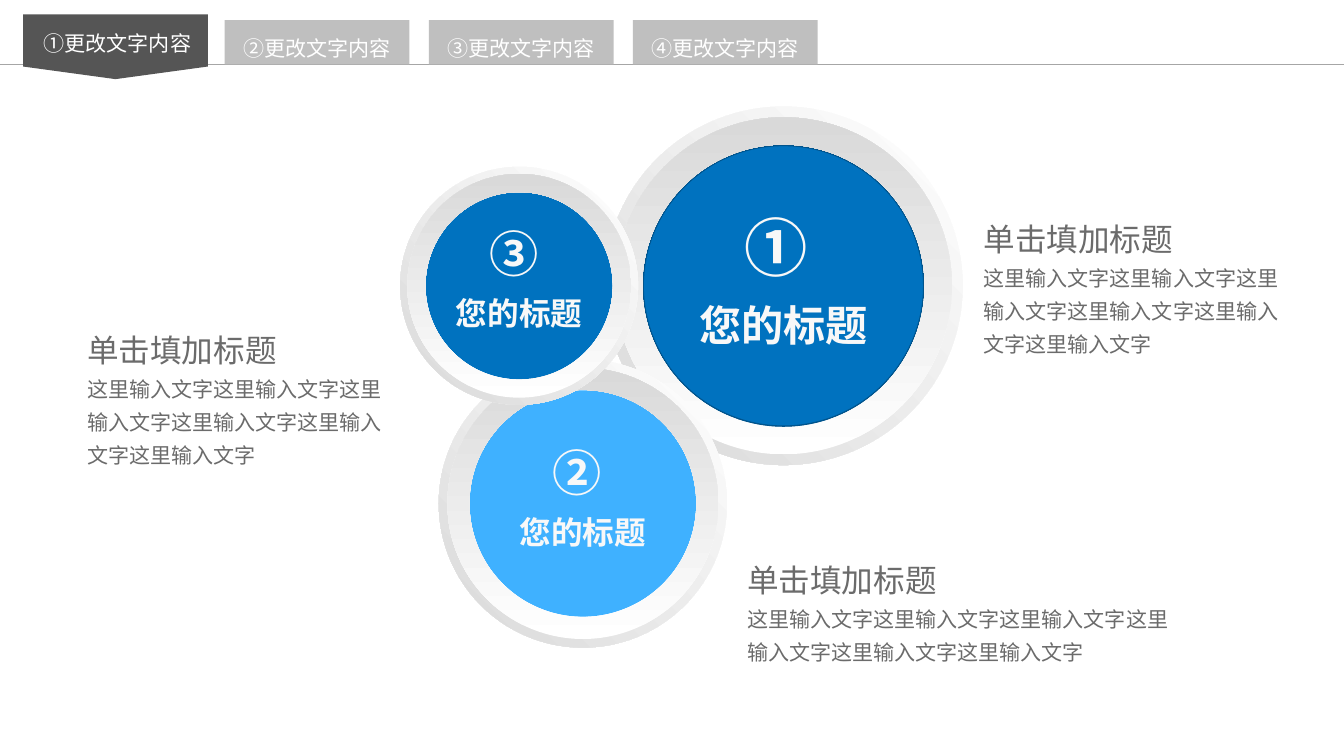
from lxml import etree
from pptx import Presentation
from pptx import util as u
from pptx.dml.color import RGBColor
from pptx.enum import shapes, text
from pptx.oxml.ns import qn

FONT = "Noto Sans CJK SC"
SLIDE_SIZE = (27, 15)

# label, centre x, centre y, length, point depth, text centre x, text top, fill (cm)
ACTIVE_TAB = ("①更改文字内容", 2.32, 0.94, 1.3, 0.194, 2.36, 0.51, "555555")
OTHER_TABS = ["②更改文字内容", "③更改文字内容", "④更改文字内容"]
FIRST_TAB_X, TAB_PITCH, TAB_WIDTH = 6.37, 4.1, 3.71
RULE_Y = 1.3

# number, title, centre, diameter, fill, outline, text box (top, width, height), font sizes
CIRCLES = [
    ("① ", "您的标题", (15.74, 5.74), 7.2, "0072BF", "00548D", (3.61, 7.54, 3.58), (36, 24)),
    ("② ", "您的标题", (11.71, 10.11), 5.79, "3FB1FF", None, (8.41, 6.07, 2.82), (28, 18)),
    ("③ ", "您的标题", (10.43, 5.74), 4.78, "0072BF", None, (4.01, 5.0, 2.82), (28, 18)),
]
DISC_RATIO = 0.785
# diameter ratio, ring thickness, gradient angle
RINGS = [(1, 0.101, 225), (0.94, 0.081, 90)]

NOTE_TITLE = "单击填加标题"
NOTE_BODY = "这里输入文字" * 6
# left, top, width, height
NOTES = [(14.76, 10.92, 9.35, 3.66), (19.51, 4.06, 6.81, 4.32), (1.5, 6.3, 6.81, 4.32)]


def colour(value):
    return RGBColor.from_string(value)


def centred(x, y, width, height):
    return u.Cm(x - width / 2), u.Cm(y - height / 2), u.Cm(width), u.Cm(height)


def add_plain_shape(kind, box, fill=None, outline=None):
    shape = slide.shapes.add_shape(kind, *box)
    shape.shadow.inherit = False
    if fill:
        shape.fill.solid()
        shape.fill.fore_color.rgb = colour(fill)
    if outline:
        shape.line.color.rgb = colour(outline)
        shape.line.width = u.Pt(1.25)
    else:
        shape.line.fill.background()
    return shape


def add_text(box, lines, hex_colour, spacing, centre=False, bold=False, grow=True):
    """Add a text box; lines holds (wording, size) pairs."""
    frame = slide.shapes.add_textbox(*map(u.Cm, box)).text_frame
    frame.word_wrap = True
    if grow:
        frame.auto_size = text.MSO_AUTO_SIZE.SHAPE_TO_FIT_TEXT
    else:
        frame.margin_left = frame.margin_right = frame.margin_top = frame.margin_bottom = 0
    for index, (wording, size) in enumerate(lines):
        paragraph = frame.add_paragraph() if index else frame.paragraphs[0]
        paragraph.text = wording
        paragraph.line_spacing = spacing
        if centre:
            paragraph.alignment = text.PP_ALIGN.CENTER
        font = paragraph.font
        font.name, font.size, font.bold = FONT, u.Pt(size), bold
        font.color.rgb = colour(hex_colour)
        east_asian = etree.SubElement(paragraph._p.pPr.defRPr, qn("a:ea"))
        east_asian.set("typeface", FONT)


def add_circle(number, title, centre, diameter, fill, outline, text_box, sizes):
    disc = diameter * DISC_RATIO
    add_plain_shape(shapes.MSO_SHAPE.OVAL, centred(*centre, disc, disc), fill, outline)
    for ratio, thickness, angle in RINGS:
        size = diameter * ratio
        ring = add_plain_shape(shapes.MSO_SHAPE.DONUT, centred(*centre, size, size))
        ring.adjustments[0] = thickness
        ring.fill.gradient()
        ring.fill.gradient_angle = angle
        for stop, shade in zip(ring.fill.gradient_stops, ("FFFFFF", "D9D9D9")):
            stop.color.rgb = colour(shade)
    top, width, height = text_box
    add_text((centre[0] - width / 2, top, width, height),
             zip((number, title), sizes), "F8F8F8", 1.3, centre=True, bold=True)


def add_tab(label, x, y, length, point, text_x, text_top, fill):
    tab = add_plain_shape(shapes.MSO_SHAPE.PENTAGON, centred(x, y, length, TAB_WIDTH), fill)
    tab.rotation = 90
    tab.adjustments[0] = point
    add_text((text_x - 2.87, text_top, 5.74, 0.69), [(label, 12)], "FFFFFF", 1.2,
             centre=True, grow=False)


presentation = Presentation()
presentation.slide_width, presentation.slide_height = map(u.Cm, SLIDE_SIZE)
slide = presentation.slides.add_slide(presentation.slide_layouts[6])

for circle in CIRCLES:
    add_circle(*circle)
for note in NOTES:
    add_text(note, [(NOTE_TITLE, 18), (NOTE_BODY, 12)], "6B6B6B", 1.3)

rule = slide.shapes.add_connector(shapes.MSO_CONNECTOR.STRAIGHT, 0, u.Cm(RULE_Y),
                                  presentation.slide_width, u.Cm(RULE_Y))
rule.line.color.rgb = colour("A6A6A6")
rule.line.width = u.Pt(0.75)
etree.SubElement(rule._element.spPr, qn("a:effectLst"))

for index, label in enumerate(OTHER_TABS):
    x = FIRST_TAB_X + index * TAB_PITCH
    add_tab(label, x, 0.85, 0.89, 0, x, 0.61, "BFBFBF")
add_tab(*ACTIVE_TAB)

presentation.save("out.pptx")
